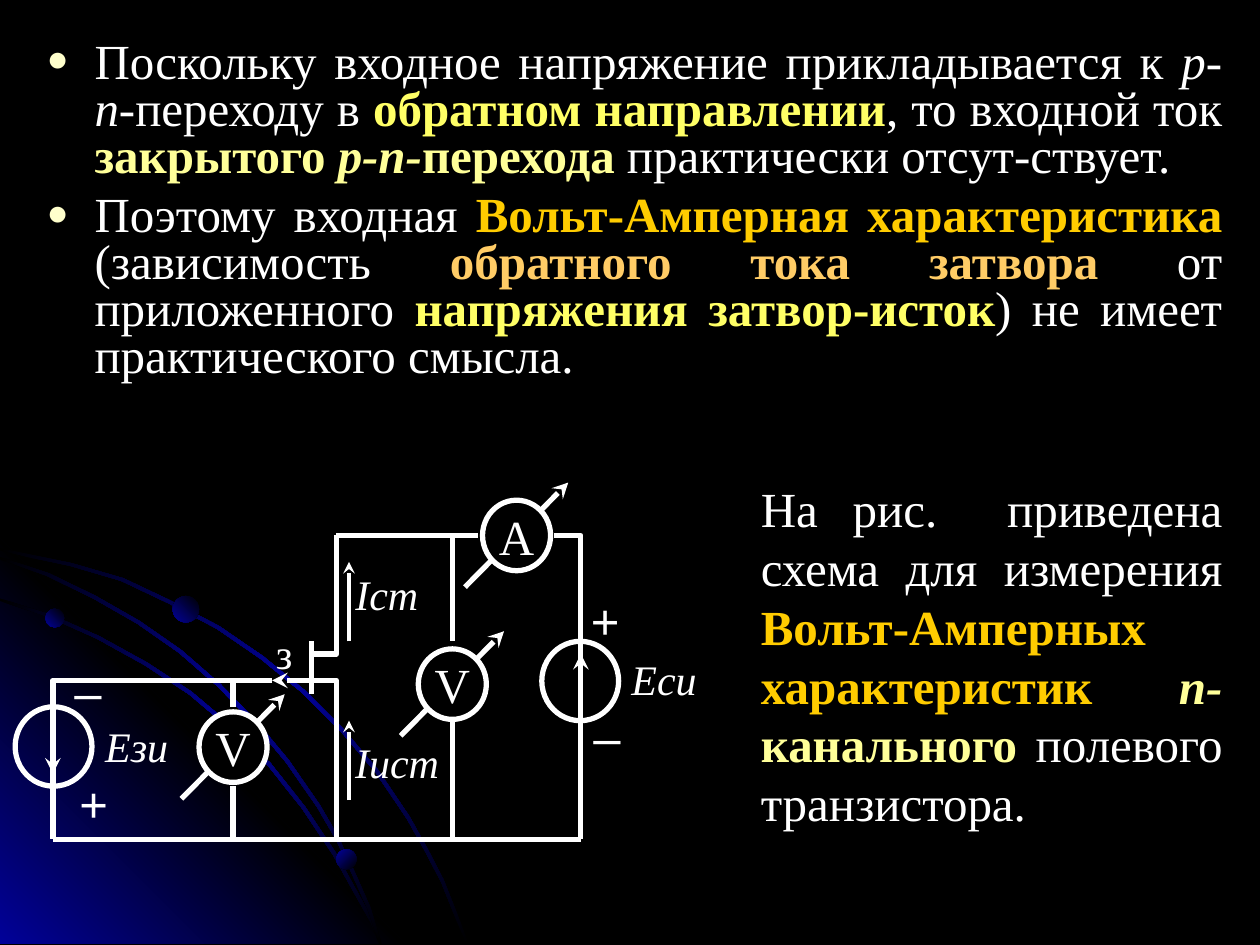
"""Build a slide on measuring the volt-ampere characteristics of a field-effect transistor."""
from dataclasses import dataclass

from lxml import etree
from pptx import Presentation
from pptx.dml.color import RGBColor
from pptx.enum.shapes import MSO_CONNECTOR, MSO_SHAPE
from pptx.enum.text import MSO_AUTO_SIZE, MSO_VERTICAL_ANCHOR, PP_ALIGN
from pptx.oxml.ns import qn
from pptx.util import Inches, Pt

STRAIGHT = MSO_CONNECTOR.STRAIGHT
OVAL = MSO_SHAPE.OVAL
LEFT, CENTER, JUSTIFY = PP_ALIGN.LEFT, PP_ALIGN.CENTER, PP_ALIGN.JUSTIFY
MIDDLE = MSO_VERTICAL_ANCHOR.MIDDLE
TOP = MSO_VERTICAL_ANCHOR.TOP
NO_FIT, GROW = MSO_AUTO_SIZE.NONE, MSO_AUTO_SIZE.SHAPE_TO_FIT_TEXT

SERIF, SANS = "Times New Roman", "Arial"
WHITE, BLACK, BLUE = "FFFFFF", "000000", "010199"
GOLD, YELLOW, PALE, ORANGE = "FFCC00", "FFFF66", "FFFF99", "FFCC66"
BULLET = "FFFFCC"
BAND = 0.02
GROUND, DRAIN, GATE = 6.66, 4.25, 5.4


@dataclass(frozen=True)
class Span:
    text: str
    color: str = WHITE
    bold: bool = False
    italic: bool = False
    size: float = 28
    font: str = SERIF


@dataclass(frozen=True)
class Label:
    span: Span
    left: float
    top: float
    width: float
    height: float
    align: PP_ALIGN = LEFT
    inset: float = 0


@dataclass(frozen=True)
class Wire:
    points: tuple
    arrow: bool = False
    width: float = 3


@dataclass(frozen=True)
class Meter:
    letter: str
    left: float
    top: float


@dataclass(frozen=True)
class Ball:
    left: float
    top: float
    size: float
    angle: int


BODY = [
    [Span("Поскольку входное напряжение прикладывается к "), Span("p-n-", italic=True),
     Span("переходу в "), Span("обратном направлении", YELLOW, True),
     Span(", то входной ток "), Span("закрытого ", PALE, True), Span("p-n-", PALE, True, True),
     Span("перехода", PALE, True), Span(" практически отсут-ствует. ")],
    [Span("Поэтому входная "), Span("Вольт-Амперная характеристика", GOLD, True),
     Span(" (зависимость "), Span("обратного тока затвора", ORANGE, True),
     Span(" от приложенного "), Span("напряжения затвор-исток", YELLOW, True),
     Span(") не имеет практического смысла. ")],
]
CAPTION = [Span("На рис.  приведена схема для измерения "),
           Span("Вольт-Амперных характеристик ", GOLD, True), Span("n-", PALE, True, True),
           Span("канального ", PALE, True), Span("полевого транзистора.")]

OUTER_ARC = [(0, 4.35), (0.28, 4.41), (0.57, 4.47), (0.98, 4.59), (1.36, 4.77), (1.74, 4.97),
             (2.09, 5.21), (2.42, 5.48), (2.72, 5.78), (3, 6.11), (3.25, 6.48), (3.39, 6.73),
             (3.52, 6.98), (3.62, 7.23), (3.72, 7.49)]
INNER_ARC = [(0, 4.75), (0.41, 4.88), (0.79, 5.05), (1.17, 5.26), (1.52, 5.49), (1.84, 5.76),
             (2.15, 6.06), (2.42, 6.4), (2.66, 6.76), (2.86, 7.12), (2.96, 7.3), (3.03, 7.49)]
MIDDLE_ARC = [(0, 4.42), (0.39, 4.55), (0.76, 4.73), (1.11, 4.93), (1.44, 5.16), (1.75, 5.43),
              (2.04, 5.73), (2.29, 6.03), (2.54, 6.39), (2.69, 6.65), (2.82, 6.93),
              (2.94, 7.2), (3.03, 7.49)]
BALLS = [Ball(0.36, 4.83, 0.15, 135), Ball(2.67, 6.74, 0.16, 225), Ball(1.37, 4.73, 0.21, 135)]

SOURCES = [(0.12, 5.61), (4.3, 5.09)]
METERS = [Meter("V", 1.58, 5.65), Meter("А", 3.83, 3.97), Meter("V", 3.32, 5.15)]
WIRES = [
    Wire(((2.47, 5.09), (2.47, 5.51))),
    Wire(((2.47, GATE), (2.16, GATE)), True),
    Wire(((2.47, GATE), (2.67, GATE), (2.67, GROUND))),
    Wire(((2.47, 5.19), (2.67, 5.19), (2.67, DRAIN))),
    Wire(((0.42, 5.61), (0.42, 6.14)), True),
    Wire(((4.61, 5.72), (4.61, 5.19)), True),
    Wire(((2.16, GATE), (0.42, GATE), (0.42, GROUND))),
    Wire(((1.85, GATE), (1.85, 5.61))),
    Wire(((1.85, 6.24), (1.85, GROUND))),
    Wire(((3.59, 5.72), (3.59, GROUND))),
    Wire(((3.59, DRAIN), (3.59, 5.09))),
    Wire(((2.67, DRAIN), (3.79, DRAIN))),
    Wire(((4.4, DRAIN), (4.61, DRAIN), (4.61, GROUND))),
    Wire(((0.42, GROUND), (4.61, GROUND))),
    Wire(((2.77, 6.35), (2.77, 5.72)), True, 2.25),
    Wire(((2.77, 5.09), (2.77, 4.46)), True, 2.25),
]
LABELS = [
    Label(Span("Icт", italic=True, size=24), 2.56, 4.46, 1.02, 0.53, CENTER, 0.1),
    Label(Span("Iиcт", italic=True, size=24), 2.72, 5.8, 1.02, 0.53, inset=0.1),
    Label(Span("з", size=24), 2.09, 4.93, 0.51, 0.52, inset=0.1),
    Label(Span("Eзи", italic=True, size=24), 0.73, 5.72, 0.71, 0.42, CENTER),
    Label(Span("Eси", italic=True, size=24), 4.91, 5.19, 0.72, 0.42, CENTER),
    Label(Span("+", font=SANS), 0.63, 6.14, 0.41, 0.42),
    Label(Span("–", font=SANS), 0.59, 5.25, 0.41, 0.42),
    Label(Span("+", font=SANS), 4.69, 4.69, 0.41, 0.42),
    Label(Span("–", font=SANS), 4.71, 5.61, 0.41, 0.42),
]


def rgb(value: str) -> RGBColor:
    """Turn a hex string into a colour."""
    return RGBColor.from_string(value)


def add_child(parent, tag: str, **attributes: str):
    """Append a DrawingML element and return it."""
    return etree.SubElement(parent, qn(tag), attributes)


def write_spans(para, spans: list[Span], align: PP_ALIGN) -> None:
    """Add formatted runs to a paragraph."""
    para.alignment = align
    for span in spans:
        run = para.add_run()
        run.text = span.text
        font = run.font
        font.name, font.size = span.font, Pt(span.size)
        font.bold, font.italic = span.bold, span.italic
        font.color.rgb = rgb(span.color)


def set_frame(frame, inset: float) -> None:
    """Wrap a text frame and give it side insets and half as much above and below."""
    frame.word_wrap = True
    frame.auto_size = NO_FIT
    frame.vertical_anchor = TOP
    frame.margin_left = frame.margin_right = Inches(inset)
    frame.margin_top = frame.margin_bottom = Inches(inset / 2)


def set_gradient(shape, colors: list[str], angle: int) -> None:
    """Fill an unlined shape with evenly spaced gradient stops."""
    shape.shadow.inherit = False
    shape.line.fill.background()
    shape.fill.gradient()
    gradient = shape.fill._fill._gradFill
    stops = gradient.find(qn("a:gsLst"))
    for stop in list(stops):
        stops.remove(stop)
    for index, color in enumerate(colors):
        position = str(100000 * index // (len(colors) - 1))
        add_child(add_child(stops, "a:gs", pos=position), "a:srgbClr", val=color)
    gradient.find(qn("a:lin")).set("ang", str(angle * 60000))


def add_outline(shapes, points, close: bool):
    """Draw a freeform through points given in inches."""
    corners = [(Inches(x), Inches(y)) for x, y in points]
    builder = shapes.build_freeform(*corners[0])
    builder.add_line_segments(corners[1:], close=close)
    return builder.convert_to_shape()


def add_backdrop(shapes) -> None:
    """Draw the glowing corner, the arcs and the balls."""
    corner = [(0, 4.27), (3.22, 7.49), (0, 7.49)]
    set_gradient(add_outline(shapes, corner, True), [BLUE, BLACK, BLUE], 135)
    for arc in (OUTER_ARC, INNER_ARC, MIDDLE_ARC):
        lower = [(max(0, x - BAND), min(7.49, y + BAND)) for x, y in reversed(arc)]
        set_gradient(add_outline(shapes, arc + lower, True), [BLACK, BLUE, BLACK], 225)
    for ball in BALLS:
        box = [Inches(value) for value in (ball.left, ball.top, ball.size, ball.size)]
        set_gradient(shapes.add_shape(OVAL, *box), [BLACK, BLUE], ball.angle)


def add_wire(shapes, wire: Wire) -> None:
    """Draw a straight wire as a connector and a bent one as an open outline."""
    if len(wire.points) == 2:
        ends = [Inches(value) for point in wire.points for value in point]
        shape = shapes.add_connector(STRAIGHT, *ends)
        add_child(shape._element.spPr, "a:effectLst")
    else:
        shape = add_outline(shapes, wire.points, False)
        shape.shadow.inherit = False
        shape.fill.background()
    shape.line.color.rgb = rgb(WHITE)
    shape.line.width = Pt(wire.width)
    if wire.arrow:
        add_child(shape.line._get_or_add_ln(), "a:tailEnd", type="stealth")


def add_ring(shapes, left: float, top: float, width: float, height: float):
    """Draw a white ring without fill."""
    ring = shapes.add_shape(OVAL, Inches(left), Inches(top), Inches(width), Inches(height))
    ring.shadow.inherit = False
    ring.fill.background()
    ring.line.color.rgb = rgb(WHITE)
    ring.line.width = Pt(3)
    return ring


def add_meter(shapes, meter: Meter) -> None:
    """Draw a lettered meter over its slanted needle."""
    left, top = meter.left, meter.top
    add_wire(shapes, Wire(((left - 0.14, top + 0.69), (left + 0.68, top - 0.14)), True))
    ring = add_ring(shapes, left, top, 0.54, 0.56)
    ring.fill.solid()
    ring.fill.fore_color.rgb = rgb(BLACK)
    frame = ring.text_frame
    set_frame(frame, 0)
    frame.word_wrap = False
    frame.vertical_anchor = MIDDLE
    write_spans(frame.paragraphs[0], [Span(meter.letter)], CENTER)


def add_text(shapes, spans: list[Span], box: tuple, align: PP_ALIGN, inset: float):
    """Add a one-paragraph text box and return its frame."""
    frame = shapes.add_textbox(*[Inches(value) for value in box]).text_frame
    set_frame(frame, inset)
    write_spans(frame.paragraphs[0], spans, align)
    return frame


def fill_body(body) -> None:
    """Place the bulleted list in the body placeholder."""
    body.left, body.top, body.width, body.height = map(Inches, (0.27, 0.28, 9.53, 3.31))
    frame = body.text_frame
    set_frame(frame, 0.1)
    for index, spans in enumerate(BODY):
        para = frame.add_paragraph() if index else frame.paragraphs[0]
        write_spans(para, spans, JUSTIFY)
        para.line_spacing, para.space_before = 0.8, Pt(7)
        props = para._p.get_or_add_pPr()
        props.set("marL", str(Inches(0.38)))
        props.set("indent", str(-Inches(0.38)))
        add_child(add_child(props, "a:buClr"), "a:srgbClr", val=BULLET)
        add_child(props, "a:buSzPct", val="75000")
        add_child(props, "a:buChar", char="●")


def main() -> None:
    """Build and save the deck."""
    deck = Presentation()
    deck.slide_width, deck.slide_height = Inches(10), Inches(7.5)
    page = deck.slides.add_slide(deck.slide_layouts[1])
    page.background.fill.solid()
    page.background.fill.fore_color.rgb = rgb(BLACK)
    title = page.shapes.title._element
    title.getparent().remove(title)
    fill_body(page.placeholders[1])
    add_backdrop(page.shapes.add_group_shape().shapes)
    circuit = page.shapes.add_group_shape().shapes
    for left, top in SOURCES:
        add_ring(circuit, left, top, 0.61, 0.63)
    for meter in METERS:
        add_meter(circuit, meter)
    for wire in WIRES:
        add_wire(circuit, wire)
    for label in LABELS:
        box = (label.left, label.top, label.width, label.height)
        add_text(circuit, [label.span], box, label.align, label.inset)
    caption = add_text(page.shapes, CAPTION, (5.94, 3.75, 3.86, 2.9), JUSTIFY, 0.1)
    caption.auto_size = GROW
    deck.save("out.pptx")


if __name__ == "__main__":
    main()
